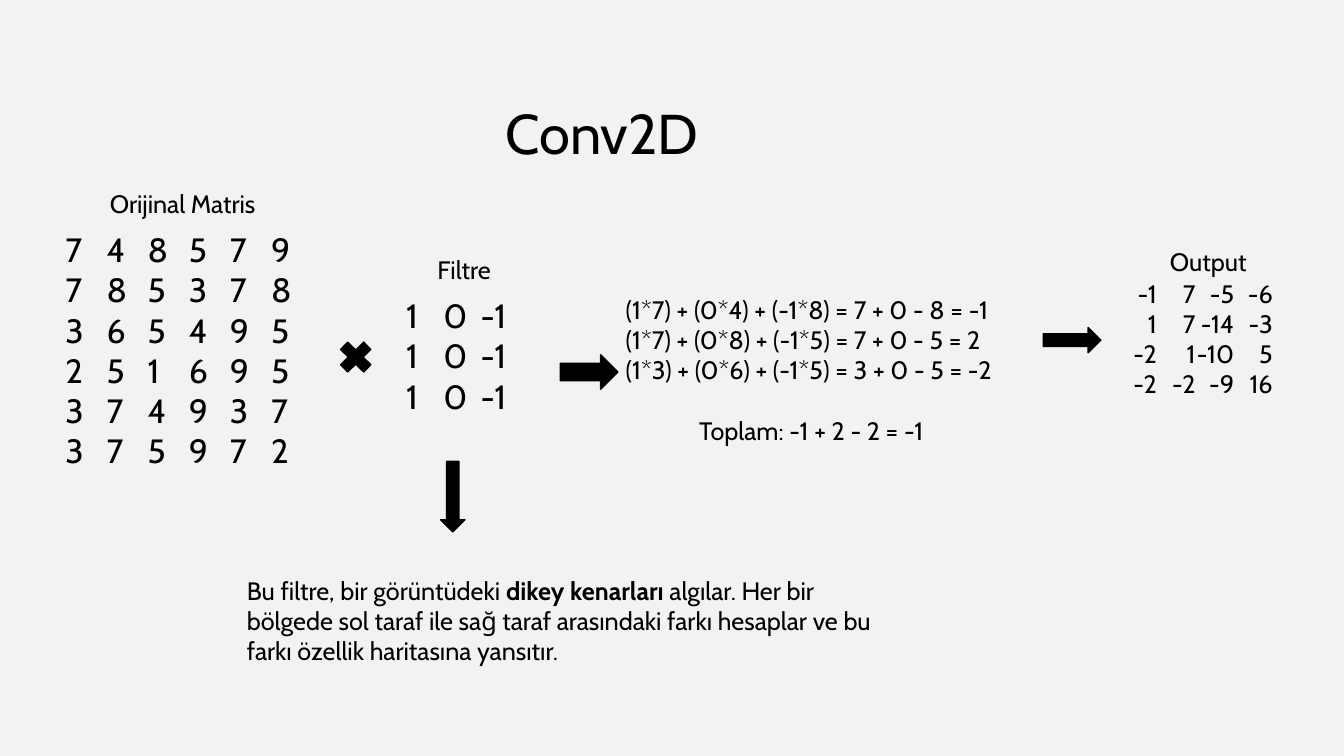
from pptx import Presentation
from pptx.dml.color import RGBColor
from pptx.enum.shapes import MSO_SHAPE
from pptx.enum.text import MSO_AUTO_SIZE
from pptx.oxml.ns import qn
from pptx.util import Inches, Pt
from lxml import etree

ARROW, TIMES = MSO_SHAPE.RIGHT_ARROW, MSO_SHAPE.MATH_MULTIPLY
FIT = MSO_AUTO_SIZE.SHAPE_TO_FIT_TEXT
COLORS = {"background": "F2F2F2", "ink": "000000"}
FONT = "Cabin"
BODY, CELL, TITLE = 18, 24, 40
WIDTH, HEIGHT, COLUMNS = 13.33, 7.5, 32
LABEL_H = 0.96

INPUT = [[7, 4, 8, 5, 7, 9], [7, 8, 5, 3, 7, 8], [3, 6, 5, 4, 9, 5],
         [2, 5, 1, 6, 9, 5], [3, 7, 4, 9, 3, 7], [3, 7, 5, 9, 7, 2]]
KERNEL = [[1, 0, -1]] * 3
RESULT = [[-1, 7, -5, -6], [1, 7, -14, -3], [-2, 1, -10, 5], [-2, -2, -9, 16]]
SUMS = ["(1*7) + (0*4) + (-1*8) = 7 + 0 - 8 = -1",
        "(1*7) + (0*8) + (-1*5) = 7 + 0 - 5 = 2",
        "(1*3) + (0*6) + (-1*5) = 3 + 0 - 5 = -2"]
TOTAL = "Toplam: -1 + 2 - 2 = -1"
NOTE = [("Bu filtre, bir görüntüdeki ", False), ("dikey kenarları", True),
        (" algılar. Her bir bölgede sol taraf ile sağ taraf arasındaki farkı "
         "hesaplar ve bu farkı özellik haritasına yansıtır.", False)]


def grid(n):
    """Return the length of n square grid cells."""
    return Inches(n * WIDTH / COLUMNS)


def rgb(name):
    """Look up a named colour."""
    return RGBColor.from_string(COLORS[name])


def add_text(slide, box, paragraphs, size, wrap=True):
    """Place paragraphs, each a list of (text, bold) runs, in a box."""
    tf = slide.shapes.add_textbox(*map(grid, box)).text_frame
    tf.word_wrap = wrap
    tf.auto_size = FIT
    for i, runs in enumerate(paragraphs):
        p = tf.paragraphs[0] if i == 0 else tf.add_paragraph()
        for text, bold in runs:
            r = p.add_run()
            r.text = text
            r.font.name, r.font.size, r.font.bold = FONT, Pt(size), bold
            r.font.color.rgb = rgb("ink")
    return tf


def add_label(slide, box, text, size=BODY):
    """Place a single unwrapped line."""
    add_text(slide, box, [[(text, False)]], size, wrap=False)


def add_matrix(slide, box, rows, size, pitch, label, offset, first=None):
    """Draw a labelled matrix on tab stops, right-aligned if first is given."""
    x, y, w, h = box
    dx, dy, label_w = offset
    add_label(slide, (x + dx, y + dy, label_w, LABEL_H), label)
    lead = "" if first is None else "\t"
    lines = [[(lead + "\t".join(map(str, row)), False)] for row in rows]
    tf = add_text(slide, box, lines, size)
    stops = [(first or 0) + i * pitch for i in range(len(rows[0]))]
    for p in tf.paragraphs:
        tabs = etree.SubElement(p._p.get_or_add_pPr(), qn("a:tabLst"))
        for stop in stops if lead else stops[1:]:
            etree.SubElement(tabs, qn("a:tab"), pos=str(grid(stop)),
                             algn="r" if lead else "l")


def add_calculation(slide, box):
    """List the products and, after a gap, their indented total."""
    lines = [[(line, False)] for line in SUMS + [TOTAL]]
    p = add_text(slide, box, lines, BODY).paragraphs[-1]
    p.space_before = Pt(21.6)
    p._p.get_or_add_pPr().set("marL", str(grid(1.75)))


def add_symbol(slide, kind, box, rotation=0):
    """Draw a solid operator or arrow."""
    sp = slide.shapes.add_shape(kind, *map(grid, box))
    sp.shadow.inherit = False
    sp.rotation = rotation
    sp.fill.solid()
    sp.fill.fore_color.rgb = rgb("ink")
    sp.line.color.rgb = rgb("ink")
    sp.line.width = Pt(1)


def convolution_slide(prs):
    """Build the slide that explains a convolution step."""
    slide = prs.slides.add_slide(prs.slide_layouts[6])
    slide.background.fill.solid()
    slide.background.fill.fore_color.rgb = rgb("background")
    add_label(slide, (11.81, 2.23, 5.11, 1.85), "Conv2D", TITLE)
    add_matrix(slide, (1.32, 5.33, 6.89, 6.05), INPUT, CELL, 0.98,
               "Orijinal Matris", (1.06, -0.96, 4.03))
    add_symbol(slide, TIMES, (7.94, 7.99, 1.06, 1.03))
    add_matrix(slide, (9.43, 6.91, 4.01, 3.14), KERNEL, CELL, 0.89,
               "Filtre", (0.75, -0.96, 1.75))
    add_symbol(slide, ARROW, (9.94, 11.54, 1.68, 0.58), 90)
    add_text(slide, (5.64, 13.58, 15.48, 2.42), [NOTE], BODY)
    add_symbol(slide, ARROW, (13.34, 8.45, 1.37, 0.82))
    add_calculation(slide, (14.66, 6.89, 13.92, 3.89))
    add_symbol(slide, ARROW, (24.84, 7.8, 1.37, 0.6))
    add_matrix(slide, (26.69, 6.5, 5.14, 3.14), RESULT, BODY, 0.92,
               "Output", (0.93, -0.76, 2.3), first=0.62)


def main():
    """Create and save the presentation."""
    prs = Presentation()
    prs.slide_width, prs.slide_height = Inches(WIDTH), Inches(HEIGHT)
    convolution_slide(prs)
    prs.save("out.pptx")


if __name__ == "__main__":
    main()
